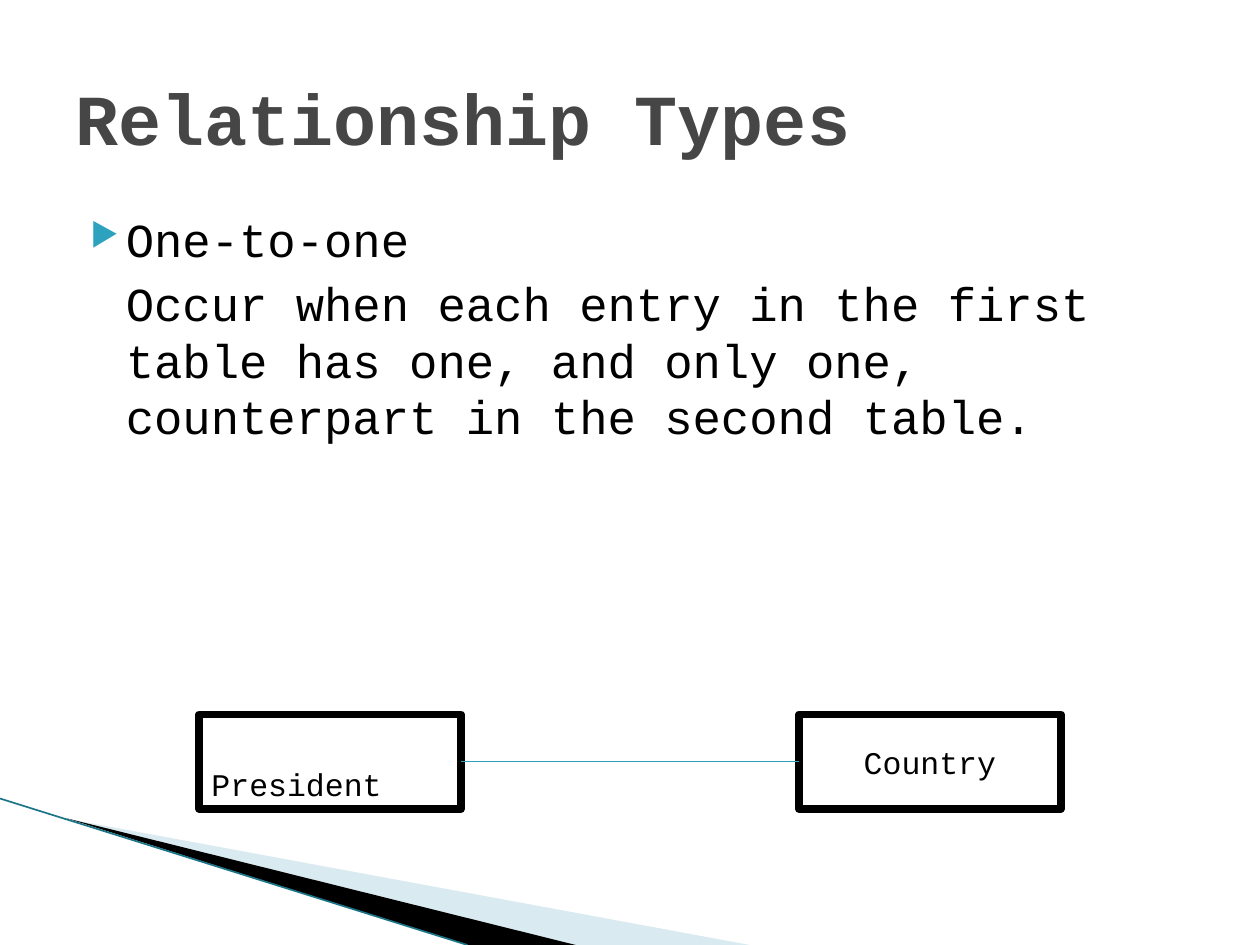
from lxml import etree
from pptx import Presentation
from pptx.dml.color import RGBColor
from pptx.enum.shapes import MSO_CONNECTOR, MSO_SHAPE
from pptx.enum.text import MSO_ANCHOR, PP_ALIGN
from pptx.oxml.ns import qn
from pptx.util import Inches, Pt

STRAIGHT = MSO_CONNECTOR.STRAIGHT
RECTANGLE = MSO_SHAPE.RECTANGLE
TOP, MIDDLE, BOTTOM = MSO_ANCHOR.TOP, MSO_ANCHOR.MIDDLE, MSO_ANCHOR.BOTTOM
LEFT, CENTER = PP_ALIGN.LEFT, PP_ALIGN.CENTER

WIDTH, HEIGHT = 10, 7.5
THEME = {
    "font": "Courier New",
    "title": {"size": 41, "color": "464646", "bold": True},
    "body": {"size": 27, "color": "000000", "bold": False},
    "entity": {"size": 18, "color": "000000", "bold": False},
    "paper": "FFFFFF",
    "border": "000000",
    "accent": "2DA2BF",
    "edge": "1B7587",
}

TITLE = "Relationship Types"
BODY = [
    {"text": "One-to-one", "bullet": "▶"},
    {
        "text": "Occur when each entry in the first table has one, and only one, "
        "counterpart in the second table.",
        "bullet": None,
    },
]
ENTITIES = [
    {"text": "President", "align": LEFT, "anchor": BOTTOM},
    {"text": "Country", "align": CENTER, "anchor": MIDDLE},
]
WEDGES = [
    {"points": [(0.055, 0.867), (0.595, 1), (0.456, 1)], "color": "A0CBDC", "opacity": 40},
    {"points": [(0.053, 0.866), (0.457, 1), (0.371, 1)], "color": "000000", "opacity": 100},
]
EDGE = [(0, 0.845), (0.371, 1)]

MARGIN = 0.05
TITLE_TOP, TITLE_HEIGHT = 0.04, 0.167
BODY_TOP, BODY_HEIGHT = 0.216, 0.66
ENTITY_LEFT, ENTITY_TOP = 0.158, 0.756
ENTITY_WIDTH, ENTITY_HEIGHT = 0.208, 0.1
ENTITY_STEP = 1 - 2 * ENTITY_LEFT - ENTITY_WIDTH


def place(x, y):
    return Inches(x * WIDTH), Inches(y * HEIGHT)


def color(value):
    return RGBColor.from_string(value)


def write(paragraph, text, style):
    run = paragraph.add_run()
    run.text = text
    formats = {"name": THEME["font"], "size": Pt(style["size"]), "bold": style["bold"]}
    for name, value in formats.items():
        setattr(run.font, name, value)
    run.font.color.rgb = color(style["color"])


def add_bullet(paragraph, character, indent):
    properties = paragraph._p.get_or_add_pPr()
    properties.set("marL", str(Inches(0.4)))
    properties.set("indent", str(Inches(indent)))
    if character:
        bullet_color = etree.SubElement(properties, qn("a:buClr"))
        etree.SubElement(bullet_color, qn("a:srgbClr"), val=THEME["accent"])
        etree.SubElement(properties, qn("a:buSzPct"), val="68000")
        etree.SubElement(properties, qn("a:buChar"), char=character)


def add_text_box(slide, top, height, anchor):
    shape = slide.shapes.add_textbox(*place(MARGIN, top), *place(1 - 2 * MARGIN, height))
    frame = shape.text_frame
    frame.word_wrap = True
    frame.vertical_anchor = anchor
    return frame


def add_line(slide, start, end, line_color, width):
    line = slide.shapes.add_connector(STRAIGHT, *place(*start), *place(*end))
    line.line.color.rgb = color(line_color)
    line.line.width = Pt(width)
    etree.SubElement(line._element.spPr, qn("a:effectLst"))


def add_wedge(slide, wedge):
    first, *others = [place(*point) for point in wedge["points"]]
    builder = slide.shapes.build_freeform(*first)
    builder.add_line_segments(others, close=True)
    shape = builder.convert_to_shape()
    shape.shadow.inherit = False
    shape.fill.solid()
    shape.fill.fore_color.rgb = color(wedge["color"])
    shape.line.fill.background()
    fill_color = shape._element.spPr.find(qn("a:solidFill"))[0]
    etree.SubElement(fill_color, qn("a:alpha"), val=str(wedge["opacity"] * 1000))


def add_entity(slide, column, entity):
    left = ENTITY_LEFT + column * ENTITY_STEP
    shape = slide.shapes.add_shape(
        RECTANGLE, *place(left, ENTITY_TOP), *place(ENTITY_WIDTH, ENTITY_HEIGHT)
    )
    shape.shadow.inherit = False
    shape.fill.solid()
    shape.fill.fore_color.rgb = color(THEME["paper"])
    shape.line.color.rgb = color(THEME["border"])
    shape.line.width = Pt(4.33)
    shape.text_frame.vertical_anchor = entity["anchor"]
    paragraph = shape.text_frame.paragraphs[0]
    paragraph.alignment = entity["align"]
    write(paragraph, entity["text"], THEME["entity"])


def main():
    presentation = Presentation()
    presentation.slide_width, presentation.slide_height = place(1, 1)
    slide = presentation.slides.add_slide(presentation.slide_layouts[6])

    for wedge in WEDGES:
        add_wedge(slide, wedge)
    add_line(slide, *EDGE, THEME["edge"], 0.95)

    body = add_text_box(slide, BODY_TOP, BODY_HEIGHT, TOP)
    for index, item in enumerate(BODY):
        paragraph = body.add_paragraph() if index else body.paragraphs[0]
        paragraph.space_before = Pt(4)
        add_bullet(paragraph, item["bullet"], -0.28 if item["bullet"] else 0)
        write(paragraph, item["text"], THEME["body"])

    title = add_text_box(slide, TITLE_TOP, TITLE_HEIGHT, MIDDLE)
    write(title.paragraphs[0], TITLE, THEME["title"])

    for column, entity in enumerate(ENTITIES):
        add_entity(slide, column, entity)
    middle = ENTITY_TOP + ENTITY_HEIGHT / 2
    start = (ENTITY_LEFT + ENTITY_WIDTH, middle)
    end = (ENTITY_LEFT + ENTITY_STEP, middle)
    add_line(slide, start, end, THEME["accent"], 0.75)

    presentation.save("out.pptx")


if __name__ == "__main__":
    main()
